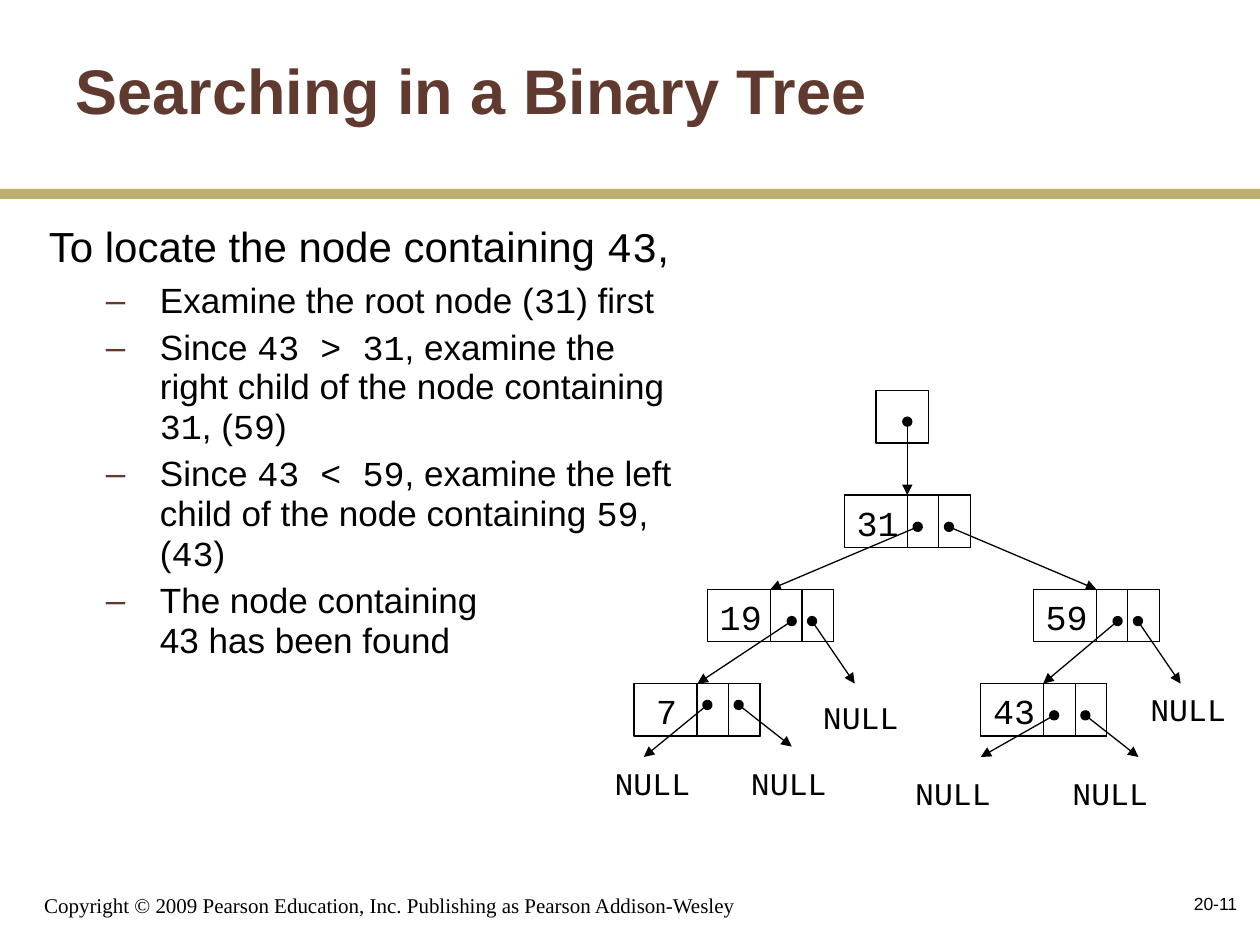
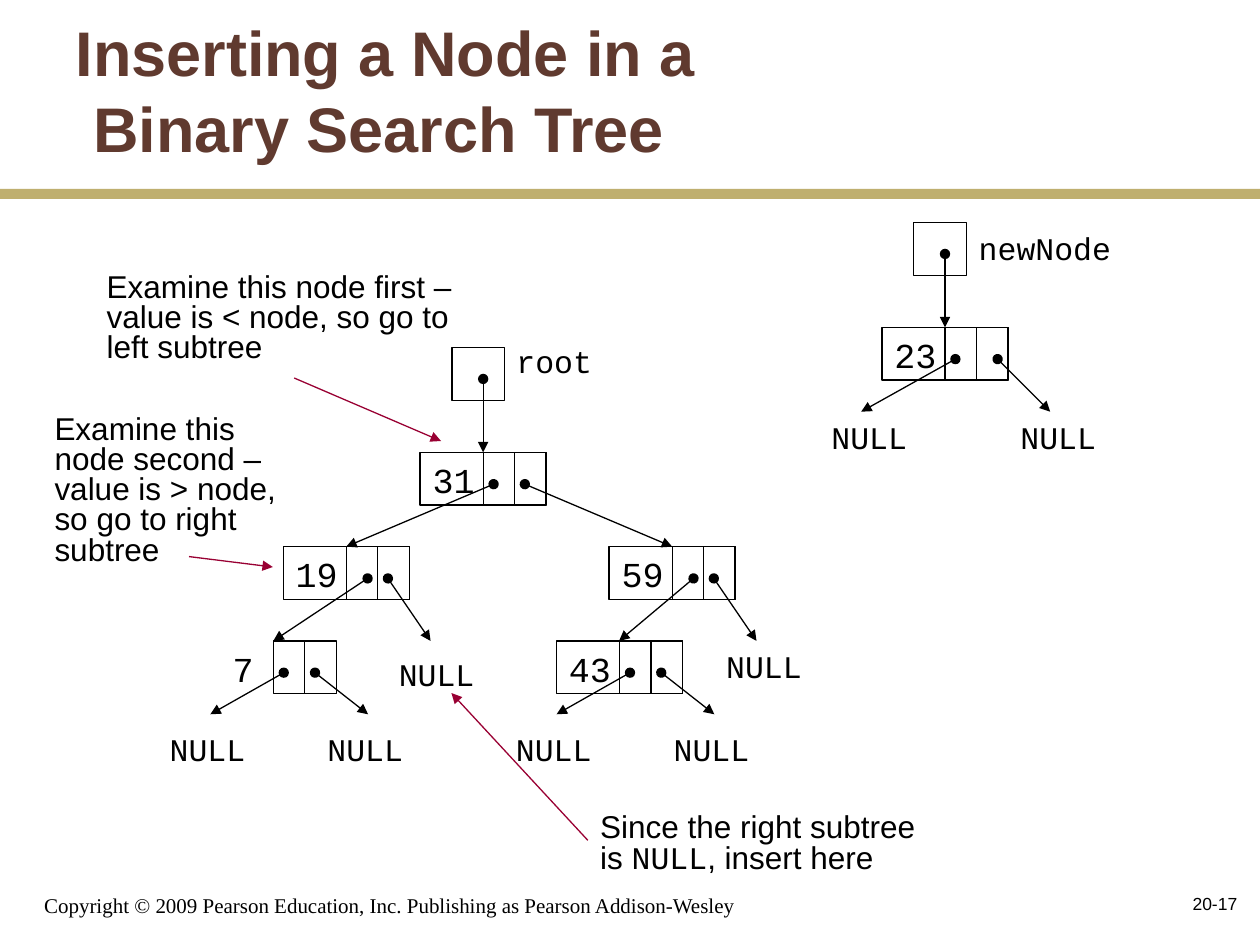
from dataclasses import dataclass
from typing import Any, NamedTuple, Optional

from lxml import etree
from pptx import Presentation
from pptx import util as u
from pptx.dml.color import RGBColor
from pptx.enum import shapes, text
from pptx.oxml.ns import qn
from pptx.slide import Slide

COLOURS = {"ink": "000000", "title": "603A2F", "band": "BFAF6F", "pointer": "990033"}
SANS, MONO, SERIF = "Arial", "Courier New", "Times New Roman"
COPYRIGHT = "Copyright © 2009 Pearson Education, Inc. Publishing as Pearson Addison-Wesley"
NODE_WIDTH, CELL_WIDTH, CELL_HEIGHT = 2.54, 0.635, 1.06
LEVEL = 1.9
LEFT_DOT, RIGHT_DOT = (1.48, 0.64), (2.11, 0.64)


class Area(NamedTuple):
    left: float
    top: float
    width: float
    height: float


class Link(NamedTuple):
    dot: tuple[float, float]
    tip: tuple[float, float]
    null: Optional[tuple[float, float]] = None


class Note(NamedTuple):
    area: Area
    words: str
    start: tuple[float, float]
    end: tuple[float, float]


@dataclass
class Node:
    value: str
    x: float
    y: float
    links: tuple[Link, Link]
    indent: float = 0
    framed: bool = True


TITLE_AREA = Area(1.27, 0.21, 21.17, 3.18)
BODY_AREA = Area(0.43, 4.4, 13.51, 12.06)
BAND_AREA = Area(0, 3.81, 25.4, 0.2)
COPYRIGHT_AREA = Area(0.64, 17.57, 15.44, 1.06)
NUMBER_AREA = Area(19.9, 17.57, 5.29, 1.27)


def colour(name: str) -> RGBColor:
    return RGBColor.from_string(COLOURS[name])


def apply(target: Any, values: dict[str, Any]) -> None:
    for name, value in values.items():
        setattr(target, name, value)


def place(area: Area) -> dict[str, u.Length]:
    return {name: u.Cm(value) for name, value in area._asdict().items()}


def add_spans(para: Any, words: str, size: float, font: str = SANS,
              ink: str = "ink", bold: bool = False) -> None:
    for index, part in enumerate(words.split("`")):
        for row, line in enumerate(part.split("\n")):
            if row:
                para.add_line_break()
            if line:
                span = para.add_run()
                span.text = line
                apply(span.font, {"size": u.Pt(size), "bold": bold,
                                  "name": MONO if index % 2 else font})
                span.font.color.rgb = colour(ink)


def add_text(page: Slide, area: Area, words: str, size: float, font: str = SANS,
             frame: Optional[dict[str, Any]] = None,
             layout: Optional[dict[str, Any]] = None) -> None:
    box = page.shapes.add_textbox(**place(area))
    apply(box.text_frame, {"word_wrap": True} | (frame or {}))
    para = box.text_frame.paragraphs[0]
    apply(para, layout or {})
    add_spans(para, words, size, font)


def add_code(page: Slide, x: float, y: float, words: str, size: float = 18) -> None:
    area = Area(x, y, 0.51 + 0.0212 * size * len(words), 1.02)
    add_text(page, area, words, size, MONO,
             {"word_wrap": False, "auto_size": text.MSO_AUTO_SIZE.SHAPE_TO_FIT_TEXT})


def add_cell(page: Slide, x: float, y: float, width: float) -> None:
    cell = page.shapes.add_shape(shapes.MSO_SHAPE.RECTANGLE,
                                 **place(Area(x, y, width, CELL_HEIGHT)))
    cell.shadow.inherit = False
    cell.fill.background()
    cell.line.color.rgb = colour("ink")
    cell.line.width = u.Pt(0.75)


def add_arrow(page: Slide, start: tuple[float, float], end: tuple[float, float],
              ink: str = "ink", dotted: bool = True) -> None:
    ends = [u.Cm(value) for value in (*start, *end)]
    arrow = page.shapes.add_connector(shapes.MSO_CONNECTOR.STRAIGHT, *ends)
    arrow.line.color.rgb = colour(ink)
    arrow.line.width = u.Pt(0.75)
    outline = arrow.line._get_or_add_ln()
    if dotted:
        etree.SubElement(outline, qn("a:headEnd"), type="oval")
    etree.SubElement(outline, qn("a:tailEnd"), type="triangle")
    etree.SubElement(arrow._element.spPr, qn("a:effectLst"))


def indent(para: Any, margin: float, first: float, bullet: str = "") -> None:
    layout = para._p.get_or_add_pPr()
    layout.set("marL", str(u.Cm(margin)))
    layout.set("indent", str(u.Cm(first)))
    if bullet:
        tint = etree.SubElement(layout, qn("a:buClr"))
        etree.SubElement(tint, qn("a:srgbClr"), val=COLOURS["title"])
        etree.SubElement(layout, qn("a:buChar"), char=bullet)
    else:
        etree.SubElement(layout, qn("a:buNone"))


def add_page(deck: Any, layout: int, title: str, number: str) -> Slide:
    page = deck.slides.add_slide(deck.slide_layouts[layout])
    apply(page.shapes.title, place(TITLE_AREA))
    frame = page.shapes.title.text_frame
    apply(frame, {"vertical_anchor": text.MSO_ANCHOR.MIDDLE, "word_wrap": True,
                  "auto_size": text.MSO_AUTO_SIZE.NONE})
    heading = frame.paragraphs[0]
    heading.alignment = text.PP_ALIGN.LEFT
    indent(heading, 0.36, -0.36)
    add_spans(heading, title, 36, ink="title", bold=True)

    band = page.shapes.add_shape(shapes.MSO_SHAPE.RECTANGLE, **place(BAND_AREA))
    band.shadow.inherit = False
    band.fill.solid()
    band.fill.fore_color.rgb = colour("band")
    band.line.fill.background()
    add_text(page, COPYRIGHT_AREA, COPYRIGHT, 12, SERIF,
             {"vertical_anchor": text.MSO_ANCHOR.BOTTOM})
    add_text(page, NUMBER_AREA, number, 10,
             frame={"vertical_anchor": text.MSO_ANCHOR.MIDDLE},
             layout={"alignment": text.PP_ALIGN.RIGHT})
    return page


def fill_body(page: Slide, lead: str, steps: list[str]) -> None:
    body = page.placeholders[1]
    apply(body, place(BODY_AREA))
    frame = body.text_frame
    apply(frame, {"word_wrap": True, "auto_size": text.MSO_AUTO_SIZE.NONE})
    opening = frame.paragraphs[0]
    apply(opening, {"line_spacing": 0.95, "space_before": u.Pt(0), "space_after": u.Pt(1)})
    indent(opening, 0.3, 0)
    add_spans(opening, lead, 24)
    for step in steps:
        para = frame.add_paragraph()
        apply(para, {"level": 1, "line_spacing": 0.95, "space_before": u.Pt(4)})
        indent(para, 2.54, -1.09, "–")
        add_spans(para, step, 20)


def add_node(page: Slide, node: Node, x: float, y: float) -> None:
    left, top = x + node.x, y + node.y
    if node.framed:
        add_cell(page, left, top, NODE_WIDTH)
    for cell in (1, 2):
        add_cell(page, left + NODE_WIDTH - cell * CELL_WIDTH, top, CELL_WIDTH)
    add_code(page, left + node.indent, top, node.value, 20)
    for link in node.links:
        start, end = ((left + dx, top + dy) for dx, dy in (link.dot, link.tip))
        add_arrow(page, start, end)
        if link.null:
            add_code(page, left + link.null[0], top + link.null[1], "NULL")


def add_tree(page: Slide, x: float, y: float, nodes: list[Node], name: str = "",
             name_at: tuple[float, float] = (0, 0)) -> None:
    add_cell(page, x + 0.64, y - 2.11, CELL_HEIGHT)
    add_arrow(page, (x + 1.27, y - 1.48), (x + 1.27, y))
    if name:
        add_code(page, x + name_at[0], y + name_at[1], name)
    for node in nodes:
        add_node(page, node, x, y)


def leaf_links(left_null: tuple[float, float],
               right_null: tuple[float, float]) -> tuple[Link, Link]:
    return (Link(LEFT_DOT, (0, 1.48), left_null),
            Link(RIGHT_DOT, (3.18, 1.48), right_null))


def search_tree(seven: Node, forty_three: tuple[Link, Link]) -> list[Node]:
    return [
        Node("31", 0, 0, (Link(LEFT_DOT, (-1.49, LEVEL)), Link(RIGHT_DOT, (5.08, LEVEL)))),
        Node("19", -2.76, LEVEL, (Link((1.7, 0.64), (-0.2, LEVEL)),
                                  Link(RIGHT_DOT, (2.97, LEVEL), (2.08, 2.06)))),
        Node("59", 3.81, LEVEL, (Link((1.7, 0.64), (0.2, LEVEL)),
                                 Link(RIGHT_DOT, (2.97, LEVEL), (2.11, LEVEL)))),
        seven,
        Node("43", 2.75, 2 * LEVEL, forty_three),
    ]


def build_search_page(deck: Any) -> None:
    page = add_page(deck, 1, "Searching in a Binary Tree", "20-11")
    fill_body(page, "To locate the node containing `43`,", [
        "Examine the root node (`31`) first",
        "Since `43 > 31`, examine the right child of the node containing `31`, (`59`)",
        "Since `43 < 59`, examine the left child of the node containing `59`, (`43`)",
        "The node containing\n43 has been found",
    ])
    seven = Node("7", -4.24, 2 * LEVEL, (Link((1.48, 0.43), (0.2, 1.48), (-0.64, 1.5)),
                                         Link((2.11, 0.43), (3.18, 1.27), (2.11, 1.5))), 0.2)
    add_tree(page, 17.02, 9.98, search_tree(seven, leaf_links((-1.57, 1.7), (1.6, 1.7))))


def build_insert_page(deck: Any) -> None:
    page = add_page(deck, 5, "Inserting a Node in a\nBinary Search Tree", "20-17")
    leaves = leaf_links((-1.07, 1.68), (2.11, 1.68))
    seven = Node("7", -4.23, 2 * LEVEL, leaves, 0.2, framed=False)
    add_tree(page, 8.47, 9.12, search_tree(seven, leaves), "root", (1.69, -2.34))
    new_node = Node("23", 0, 0, (Link(LEFT_DOT, (-0.42, 1.7), (-1.27, 1.7)),
                                 Link((2.33, 0.64), (3.39, 1.7), (2.54, 1.7))))
    add_tree(page, 17.78, 6.6, [new_node], "newNode", (1.7, -2.11))
    notes = [
        Note(Area(1.9, 5.4, 7.82, 2.08),
             "Examine this node first – value is < node, so go to left subtree",
             (5.93, 7.62), (8.89, 8.89)),
        Note(Area(0.85, 8.26, 5.71, 3.3),
             "Examine this node second – value is > node, so go to right subtree",
             (3.81, 11.22), (5.5, 11.43)),
        Note(Area(11.85, 16.3, 7.45, 1.47),
             "Since the right subtree is `NULL`, insert here",
             (11.85, 16.94), (9.1, 13.97)),
    ]
    for note in notes:
        add_text(page, note.area, note.words, 18, layout={"line_spacing": 0.8})
        add_arrow(page, note.start, note.end, "pointer", dotted=False)


def main() -> None:
    deck = Presentation()
    apply(deck, {"slide_width": u.Cm(25.4), "slide_height": u.Cm(19.05)})
    build_search_page(deck)
    build_insert_page(deck)
    deck.save("out.pptx")


if __name__ == "__main__":
    main()
